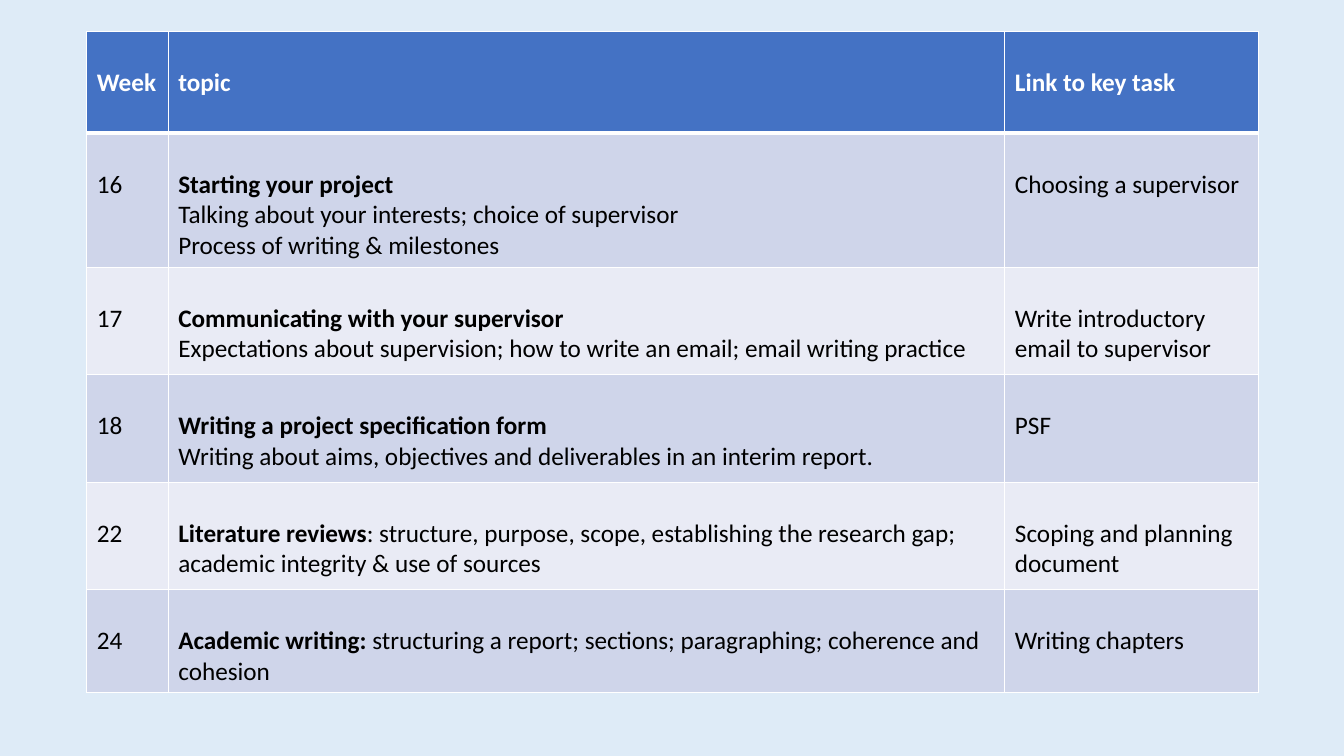
from dataclasses import dataclass

from lxml.etree import SubElement
from pptx import Presentation
from pptx.dml.color import RGBColor
from pptx.oxml.ns import qn
from pptx.util import Pt


@dataclass
class Theme:
    font: str = "Calibri"
    size: int = 18
    back: str = "DEEBF7"
    head: str = "4472C4"
    bands: tuple = ("CFD5EA", "E9EBF5")
    edge: str = "FFFFFF"
    light: str = "FFFFFF"
    dark: str = "000000"


HEADS = ("Week", "topic", "Link to key task")
# Each topic is a list of lines; each line is a (bold, plain) pair.
WEEKS = [
    ("16", [("Starting your project", ""),
            ("", "Talking about your interests; choice of supervisor"),
            ("", "Process of writing & milestones")],
     "Choosing a supervisor"),
    ("17", [("Communicating with your supervisor", ""),
            ("", "Expectations about supervision; how to write an email; "
                 "email writing practice")],
     "Write introductory email to supervisor"),
    ("18", [("Writing a project specification form", ""),
            ("", "Writing about aims, objectives and deliverables in an "
                 "interim report.")],
     "PSF"),
    ("22", [("Literature reviews", ": structure, purpose, scope, establishing "
             "the research gap; academic integrity & use of sources")],
     "Scoping and planning document"),
    ("24", [("Academic writing:", " structuring a report; sections; "
             "paragraphing; coherence and cohesion")],
     "Writing chapters"),
]
LEFT, TOP = 61.9, 22.3
WIDTHS = (58.3, 597.6, 181.4)
HEIGHTS = (72.9, 95.8, 76.8, 76.8, 76.8, 73)
PADS = {"margin_left": 7.2, "margin_right": 3.6,
        "margin_top": 25.6, "margin_bottom": 3.6}


class Deck:
    def __init__(self, theme):
        self.theme = theme
        self.show = Presentation()
        self.show.slide_width, self.show.slide_height = Pt(960), Pt(540)
        self.slide = self.show.slides.add_slide(self.show.slide_layouts[6])
        fill = self.slide.background.fill
        fill.solid()
        fill.fore_color.rgb = RGBColor.from_string(theme.back)

    def edges(self, cell, widths):
        """Draw cell borders from a dict of side letter to line width."""
        props = cell._tc.get_or_add_tcPr()
        for side, width in widths.items():
            line = SubElement(props, qn(f"a:ln{side}"), w=str(Pt(width)))
            fill = SubElement(line, qn("a:solidFill"))
            SubElement(fill, qn("a:srgbClr"), val=self.theme.edge)

    def text(self, para, words, bold, color):
        run = para.add_run()
        run.text = words
        form = {"name": self.theme.font, "size": Pt(self.theme.size),
                "bold": bold}
        for name, value in form.items():
            setattr(run.font, name, value)
        run.font.color.rgb = RGBColor.from_string(color)

    def cell(self, cell, lines, paint, color, widths):
        for name, value in PADS.items():
            setattr(cell, name, Pt(value))
        self.edges(cell, widths)
        cell.fill.solid()
        cell.fill.fore_color.rgb = RGBColor.from_string(paint)
        frame = cell.text_frame
        for i, pair in enumerate(lines):
            para = frame.add_paragraph() if i else frame.paragraphs[0]
            for words, bold in zip(pair, (True, False)):
                if words:
                    self.text(para, words, bold, color)

    def table(self, rows):
        grid = self.slide.shapes.add_table(
            len(rows), len(WIDTHS), Pt(LEFT), Pt(TOP),
            Pt(sum(WIDTHS)), Pt(sum(HEIGHTS))).table
        for col, width in zip(grid.columns, WIDTHS):
            col.width = Pt(width)
        for row, height in zip(grid.rows, HEIGHTS):
            row.height = Pt(height)
        look = self.theme
        for r, row in enumerate(rows):
            paint = look.bands[(r - 1) % 2] if r else look.head
            color = look.dark if r else look.light
            widths = {"L": 1, "R": 1, "T": 3 if r == 1 else 1,
                      "B": 1 if r else 3}
            for c, lines in enumerate(row):
                self.cell(grid.cell(r, c), lines, paint, color, widths)


def main():
    deck = Deck(Theme())
    rows = [[[(head, "")] for head in HEADS]]
    rows += [([("", week)], topic, [("", task)]) for week, topic, task in WEEKS]
    deck.table(rows)
    deck.show.save("out.pptx")


if __name__ == "__main__":
    main()
